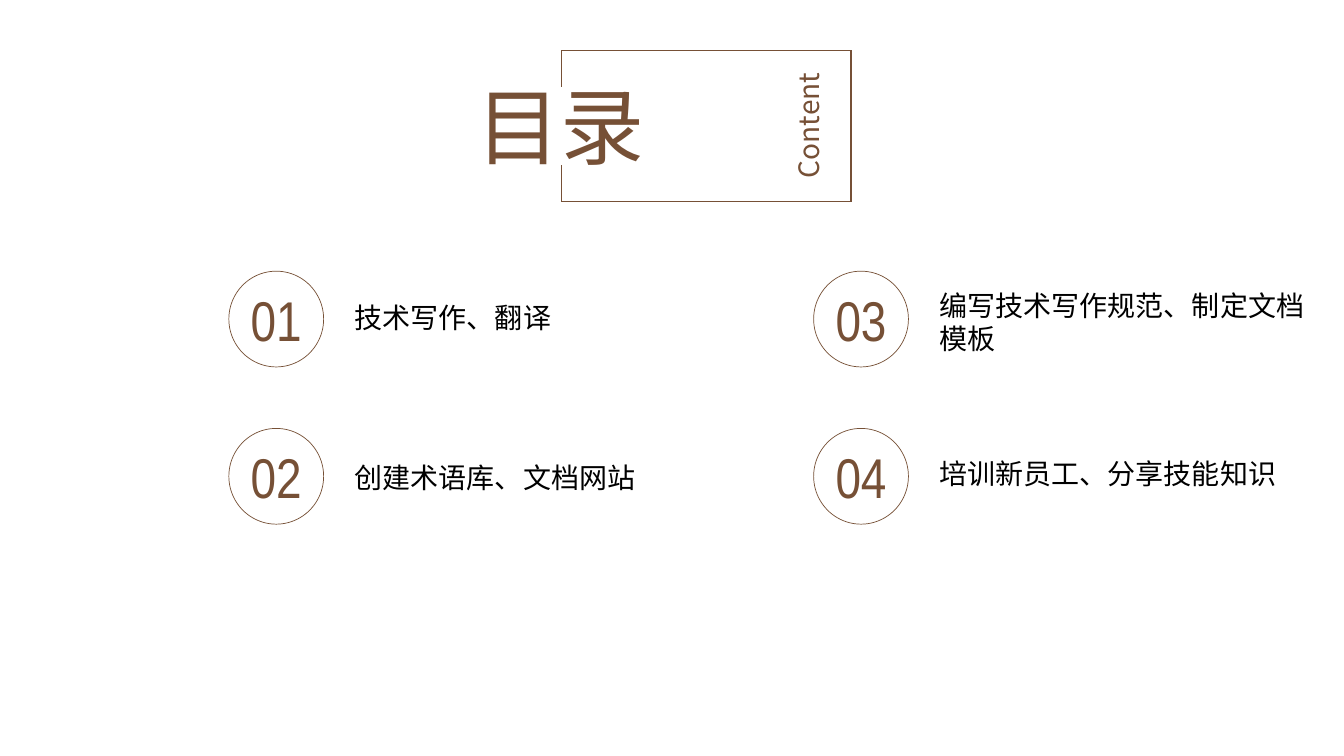
from lxml import etree
from pptx import Presentation
from pptx import util as u
from pptx.dml.color import RGBColor
from pptx.enum import shapes, text
from pptx.oxml.ns import qn

BROWN = RGBColor(0x76, 0x50, 0x36)
BLACK = RGBColor(0, 0, 0)
CJK = "Noto Sans CJK SC"
NARROW = "Arial Narrow"
CENTER = text.PP_ALIGN.CENTER

COLUMNS = (2.27, 8.07)
ROWS = (2.69, 4.25)
ENTRIES = [
    ("技术写作、翻译", 0.24, 2.17, 0.44, False),
    ("创建术语库、文档网站", 0.27, 3.36, 0.44, True),
    ("编写技术写作规范、制定文档模板", 0.12, 3.85, 0.77, True),
    ("培训新员工、分享技能知识", 0.23, 3.57, 0.44, False),
]


def inches(*values):
    return [u.Inches(v) for v in values]


def write(tf, content, size, color, name=CJK, align=None):
    p = tf.paragraphs[0]
    p.alignment = align
    r = p.add_run()
    r.text = content
    for key, value in {"size": u.Pt(size), "name": name}.items():
        setattr(r.font, key, value)
    r.font.color.rgb = color
    etree.SubElement(r.font._element, qn("a:ea"), typeface=name)


def add_label(s, box, content, size, color, align=None, wrap=True):
    sp = s.shapes.add_textbox(*inches(*box))
    tf = sp.text_frame
    for key, value in {"word_wrap": wrap,
                       "auto_size": text.MSO_AUTO_SIZE.SHAPE_TO_FIT_TEXT}.items():
        setattr(tf, key, value)
    write(tf, content, size, color, align=align)
    return sp


def add_line(s, x1, y1, x2, y2):
    line = s.shapes.add_connector(
        shapes.MSO_CONNECTOR.STRAIGHT, *inches(x1, y1, x2, y2))
    line.line.color.rgb = BROWN
    line.line.width = u.Pt(1)
    etree.SubElement(line._element.spPr, qn("a:effectLst"))


def add_entry(s, left, top, number, entry):
    content, drop, width, height, wrap = entry
    add_label(s, (left + 1.15, top + drop, width, height),
              content, 20, BLACK, wrap=wrap)
    sp = s.shapes.add_shape(shapes.MSO_SHAPE.OVAL, *inches(left, top, 0.94, 0.95))
    sp.shadow.inherit = False
    sp.fill.background()
    sp.line.color.rgb = BROWN
    sp.line.width = u.Pt(0.5)
    tf = sp.text_frame
    for key, value in {"margin_left": 0, "margin_right": 0, "margin_top": 0,
                       "margin_bottom": 0, "word_wrap": False,
                       "vertical_anchor": text.MSO_ANCHOR.MIDDLE}.items():
        setattr(tf, key, value)
    write(tf, f"{number:02d}", 40, BROWN, NARROW, CENTER)


def add_heading(s, left, top, width, height):
    right, bottom, stub = left + width, top + height, 0.36
    add_label(s, (left - 1.16, top + 0.19, 2.29, 1.11), "目录", 60, BROWN, CENTER)
    for ends in [
        (left, top, left, top + stub),
        (left, top, right, top),
        (right, top, right, bottom),
        (left, bottom, right, bottom),
        (left, bottom - stub, left, bottom),
    ]:
        add_line(s, *ends)
    sp = add_label(s, (right - 1.04, top + 0.52, 1.25, 0.44), "Content", 20, BROWN)
    sp.rotation = 270


def main():
    prs = Presentation()
    prs.slide_width, prs.slide_height = inches(13.33, 7.5)
    s = prs.slides.add_slide(prs.slide_layouts[6])
    for i, entry in enumerate(ENTRIES):
        column, row = divmod(i, len(ROWS))
        add_entry(s, COLUMNS[column], ROWS[row], i + 1, entry)
    add_heading(s, 5.57, 0.5, 2.87, 1.5)
    prs.save("out.pptx")


if __name__ == "__main__":
    main()
